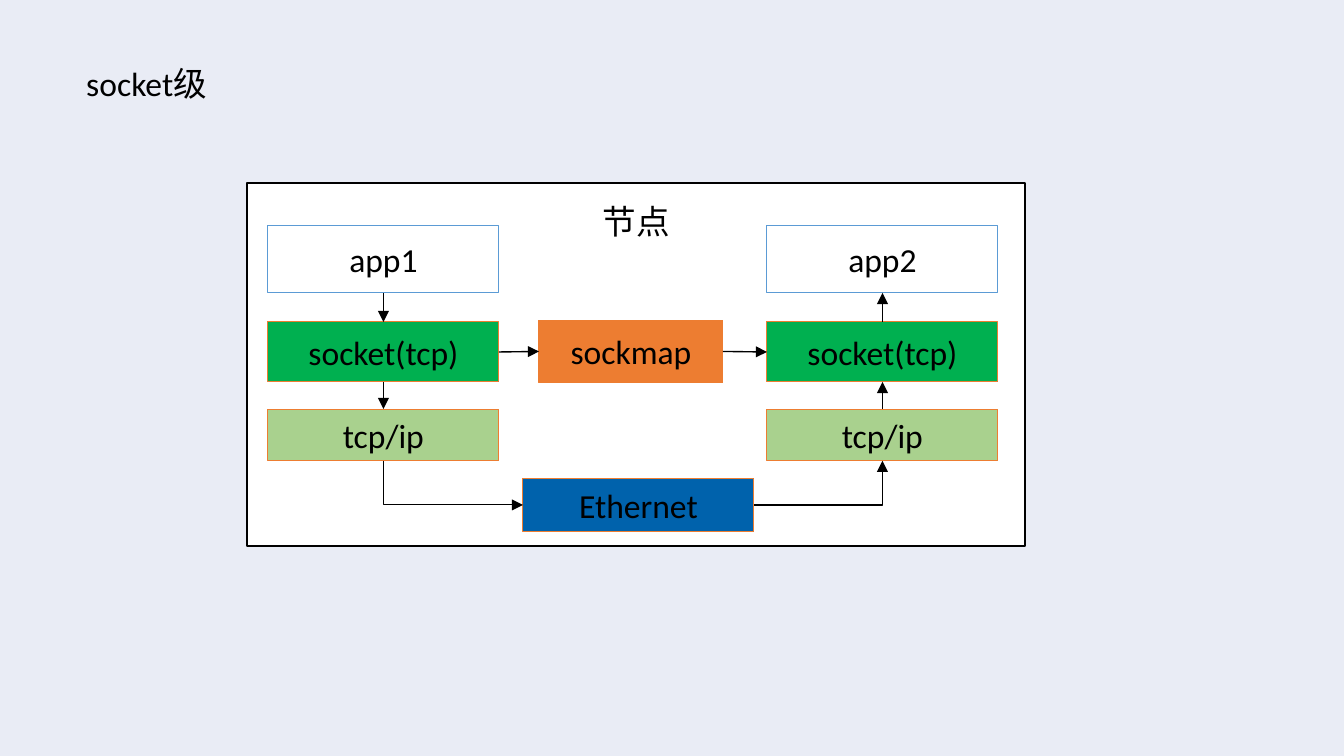
"""Build a slide showing socket-level traffic between two apps on one node."""
from dataclasses import dataclass
from itertools import pairwise

from lxml import etree
from pptx import Presentation, util as u
from pptx.dml.color import RGBColor
from pptx.enum import shapes, text
from pptx.oxml import ns
from pptx.shapes.autoshape import Shape
from pptx.shapes.connector import Connector

PX = 914400 / 134.4
FONT, SIZE = "Calibri", u.Pt(18)

BACKGROUND = RGBColor(0xE9, 0xEC, 0xF5)
BLACK = RGBColor(0x00, 0x00, 0x00)
WHITE = RGBColor(0xFF, 0xFF, 0xFF)
BLUE = RGBColor(0x5B, 0x9B, 0xD5)
ORANGE = RGBColor(0xED, 0x7D, 0x31)
GREEN = RGBColor(0x00, 0xB0, 0x50)
LIGHT_GREEN = RGBColor(0xA9, 0xD1, 0x8E)
DARK_BLUE = RGBColor(0x00, 0x62, 0xAC)

TOP, LEFT, BOTTOM, RIGHT = range(4)
LAYER_W = 231


@dataclass(frozen=True)
class Box:
    label: str
    left: int
    top: int
    width: int
    height: int
    fill: RGBColor
    line: RGBColor = ORANGE
    weight: float = 0.5


def px(n: int) -> u.Emu:
    return u.Emu(round(n * PX))


def write(sp: Shape, label: str, align: text.PP_ALIGN) -> None:
    p = sp.text_frame.paragraphs[0]
    p.text, p.alignment = label, align
    p.font.name, p.font.size, p.font.color.rgb = FONT, SIZE, BLACK


def draw_box(s, box: Box) -> Shape:
    sp = s.shapes.add_shape(shapes.MSO_SHAPE.RECTANGLE, px(box.left), px(box.top),
                            px(box.width), px(box.height))
    sp.shadow.inherit = False
    sp.fill.solid()
    sp.fill.fore_color.rgb = box.fill
    sp.line.color.rgb, sp.line.width = box.line, u.Pt(box.weight)
    sp.text_frame.vertical_anchor = text.MSO_ANCHOR.MIDDLE
    write(sp, box.label, text.PP_ALIGN.CENTER)
    return sp


def draw_arrow(s, start: Shape, start_side: int, end: Shape, end_side: int,
               weight: float = 0.5, bent: bool = False) -> Connector:
    kind = shapes.MSO_CONNECTOR.ELBOW if bent else shapes.MSO_CONNECTOR.STRAIGHT
    c = s.shapes.add_connector(kind, 0, 0, 0, 0)
    c.begin_connect(start, start_side)
    c.end_connect(end, end_side)
    c.line.color.rgb, c.line.width = BLACK, u.Pt(weight)
    etree.SubElement(c.line._get_or_add_ln(), ns.qn("a:tailEnd"), type="triangle")
    sp_pr = c._element.spPr
    etree.SubElement(sp_pr, ns.qn("a:effectLst"))
    if bent:
        sp_pr.find(ns.qn("a:prstGeom")).set("prst", "bentConnector2")
    return c


def turn_down_first(c: Connector) -> None:
    """Turn a right-then-down elbow so that it runs down, then right."""
    w, h = c.width, c.height
    c.left, c.top = c.left + (w - h) // 2, c.top + (h - w) // 2
    c.width, c.height = h, w
    xfrm = c._element.spPr.find(ns.qn("a:xfrm"))
    xfrm.set("rot", "16200000")
    xfrm.set("flipH", "1")


def draw_stack(s, app: str, left: int) -> list[Shape]:
    return [draw_box(s, box) for box in (
        Box(app, left, 225, LAYER_W, 68, WHITE, BLUE),
        Box("socket(tcp)", left, 322, LAYER_W, 60, GREEN),
        Box("tcp/ip", left, 409, LAYER_W, 52, LIGHT_GREEN),
    )]


def main() -> None:
    prs = Presentation()
    prs.slide_width, prs.slide_height = px(1344), px(756)
    s = prs.slides.add_slide(prs.slide_layouts[6])
    s.background.fill.solid()
    s.background.fill.fore_color.rgb = BACKGROUND

    title = s.shapes.add_textbox(px(73), px(56), px(335), px(54))
    title.text_frame.word_wrap = True
    write(title, "socket级", text.PP_ALIGN.LEFT)

    node = draw_box(s, Box("节点", 247, 183, 778, 363, WHITE, BLACK, 1))
    node.text_frame.vertical_anchor = text.MSO_ANCHOR.TOP
    node.text_frame.margin_top = px(18)

    sender = draw_stack(s, "app1", 268)
    receiver = draw_stack(s, "app2", 767)
    ethernet = draw_box(s, Box("Ethernet", 523, 478, LAYER_W, 54, DARK_BLUE))
    sockmap = draw_box(s, Box("sockmap", 539, 320, 184, 63, ORANGE))

    for upper, lower in pairwise(sender):
        draw_arrow(s, upper, BOTTOM, lower, TOP)
    for upper, lower in pairwise(receiver):
        draw_arrow(s, lower, TOP, upper, BOTTOM)
    draw_arrow(s, sender[1], RIGHT, sockmap, LEFT, 0.75)
    draw_arrow(s, sockmap, RIGHT, receiver[1], LEFT, 0.75)
    turn_down_first(draw_arrow(s, sender[2], BOTTOM, ethernet, LEFT, bent=True))
    draw_arrow(s, ethernet, RIGHT, receiver[2], BOTTOM, 0.75, bent=True)

    prs.save("out.pptx")


if __name__ == "__main__":
    main()
